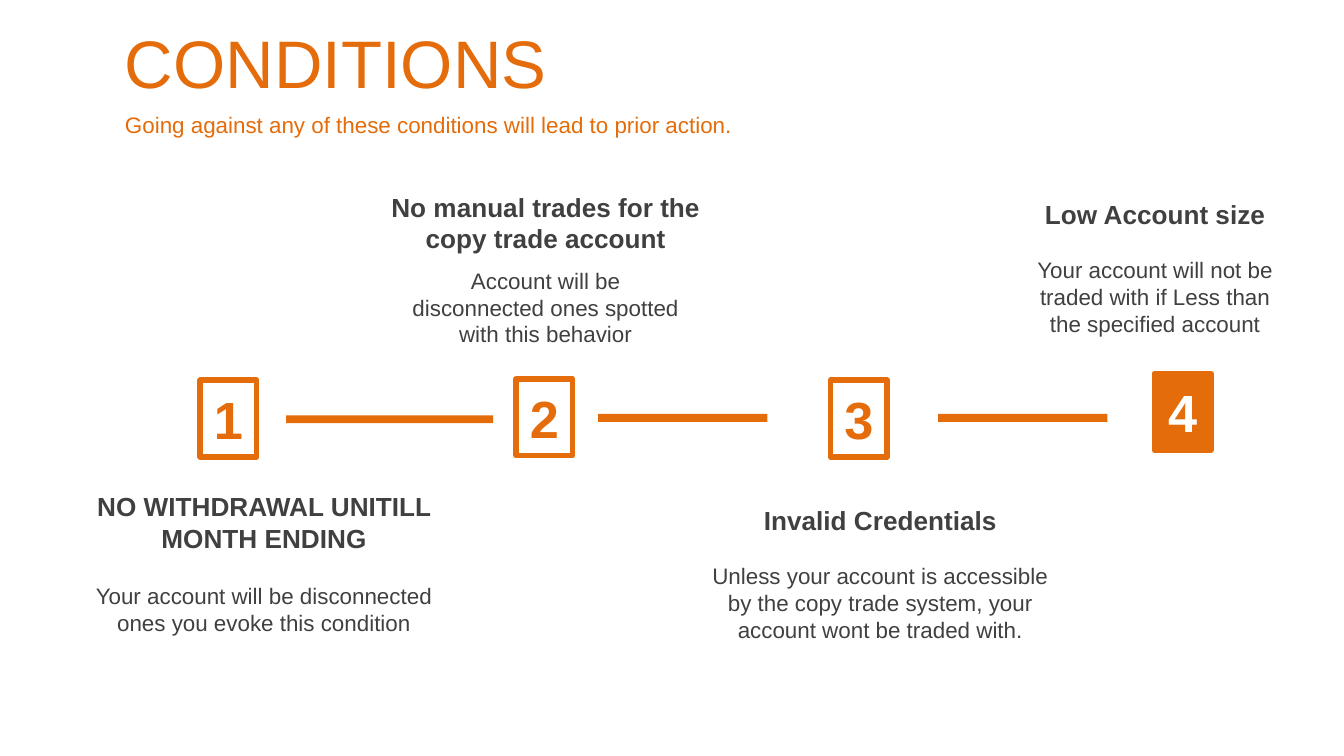
from lxml.etree import SubElement
from pptx import Presentation
from pptx.dml.color import RGBColor
from pptx.enum.shapes import MSO_SHAPE
from pptx.enum.text import MSO_ANCHOR, MSO_AUTO_SIZE, PP_ALIGN
from pptx.oxml.ns import qn
from pptx.util import Inches, Pt

ORANGE, DARK, WHITE = "E46C0A", "404040", "FFFFFF"
FONT = "Arial"
SLIDE_WIDTH = 10
SLIDE_HEIGHT = SLIDE_WIDTH * 9 / 16
BADGE_WIDTH, BADGE_HEIGHT, BAR_HEIGHT = 0.42, 0.57, 0.06
HEADING_HEIGHTS = {1: 0.34, 2: 0.57}  # by number of lines
DETAIL_HEIGHTS = {2: 0.5, 3: 0.71}

TITLE = "CONDITIONS"
SUBTITLE = "Going against any of these conditions will lead to prior action."

# badge: left, top; text: left, width; heading and detail: text, top, lines
CONDITIONS = [
    {"badge": (1.49, 2.83), "text": (0.55, 2.83), "detail_inset": 0,
     "heading": ("NO WITHDRAWAL UNITILL MONTH ENDING", 3.6, 2),
     "detail": ("Your account will be disconnected ones you evoke this condition", 4.28, 2)},
    {"badge": (3.84, 2.82), "text": (2.8, 2.52), "detail_inset": 0.1,
     "heading": ("No manual trades for the copy trade account", 1.37, 2),
     "detail": ("Account will be disconnected ones spotted with this behavior", 1.93, 3)},
    {"badge": (6.18, 2.83), "text": (5.19, 2.72), "detail_inset": 0,
     "heading": ("Invalid Credentials", 3.7, 1),
     "detail": ("Unless your account is accessible by the copy trade system, "
                "your account wont be traded with.", 4.13, 3)},
    {"badge": (8.59, 2.78), "text": (7.6, 1.99), "detail_inset": 0,
     "heading": ("Low Account size", 1.42, 1),
     "detail": ("Your account will not be traded with if Less than "
                "the specified account", 1.85, 3)},
]
BARS = [(2.13, 3.09, 1.54), (4.45, 3.08, 1.26), (6.98, 3.08, 1.26)]  # left, top, width


def rgb(color):
    return RGBColor.from_string(color)


def write(shape, text, size, color, bold=False, align=PP_ALIGN.CENTER, wrap=True):
    frame = shape.text_frame
    frame.word_wrap = wrap
    frame.auto_size = MSO_AUTO_SIZE.NONE
    frame.vertical_anchor = MSO_ANCHOR.MIDDLE
    paragraph = frame.paragraphs[0]
    paragraph.alignment = align
    run = paragraph.add_run()
    run.text = text
    run.font.name = FONT
    run.font.size = Pt(size)
    run.font.bold = bold
    run.font.color.rgb = rgb(color)
    return paragraph


def fill_placeholder(shape, top, height, text, size):
    left = 0.83
    shape.left, shape.top = Inches(left), Inches(top)
    shape.width, shape.height = Inches(SLIDE_WIDTH - left), Inches(height)
    return write(shape, text, size, ORANGE, align=PP_ALIGN.LEFT)


def remove_bullet(paragraph):
    properties = paragraph._p.get_or_add_pPr()
    properties.set("marL", "0")
    properties.set("indent", "0")
    SubElement(properties, qn("a:buNone"))


def add_rectangle(slide, left, top, width, height, fill, outline=None):
    shape = slide.shapes.add_shape(MSO_SHAPE.RECTANGLE, Inches(left), Inches(top),
                                   Inches(width), Inches(height))
    shape.shadow.inherit = False
    shape.fill.solid()
    shape.fill.fore_color.rgb = rgb(fill)
    if outline:
        shape.line.color.rgb = rgb(outline)
        shape.line.width = Pt(3)
    else:
        shape.line.fill.background()
    return shape


def add_text(slide, left, top, width, height, text, size, bold=False):
    box = slide.shapes.add_textbox(Inches(left), Inches(top), Inches(width), Inches(height))
    write(box, text, size, DARK, bold)


def add_condition(slide, number, condition, highlighted):
    fill, color = (ORANGE, WHITE) if highlighted else (WHITE, ORANGE)
    badge = add_rectangle(slide, *condition["badge"], BADGE_WIDTH, BADGE_HEIGHT, fill, ORANGE)
    write(badge, str(number), 28, color, bold=True, wrap=False)

    left, width = condition["text"]
    heading, top, lines = condition["heading"]
    add_text(slide, left, top, width, HEADING_HEIGHTS[lines], heading, 14, bold=True)
    detail, top, lines = condition["detail"]
    inset = condition["detail_inset"]
    add_text(slide, left + inset, top, width - 2 * inset, DETAIL_HEIGHTS[lines], detail, 12)


def main():
    presentation = Presentation()
    presentation.slide_width = Inches(SLIDE_WIDTH)
    presentation.slide_height = Inches(SLIDE_HEIGHT)
    slide = presentation.slides.add_slide(presentation.slide_layouts[1])

    fill_placeholder(slide.shapes.title, 0.14, 0.63, TITLE, 36)
    subtitle = fill_placeholder(slide.placeholders[1], 0.77, 0.31, SUBTITLE, 12)
    remove_bullet(subtitle)

    for left, top, width in BARS:
        add_rectangle(slide, left, top, width, BAR_HEIGHT, ORANGE)
    for number, condition in enumerate(CONDITIONS, start=1):
        add_condition(slide, number, condition, highlighted=number == len(CONDITIONS))

    presentation.save("out.pptx")


if __name__ == "__main__":
    main()
